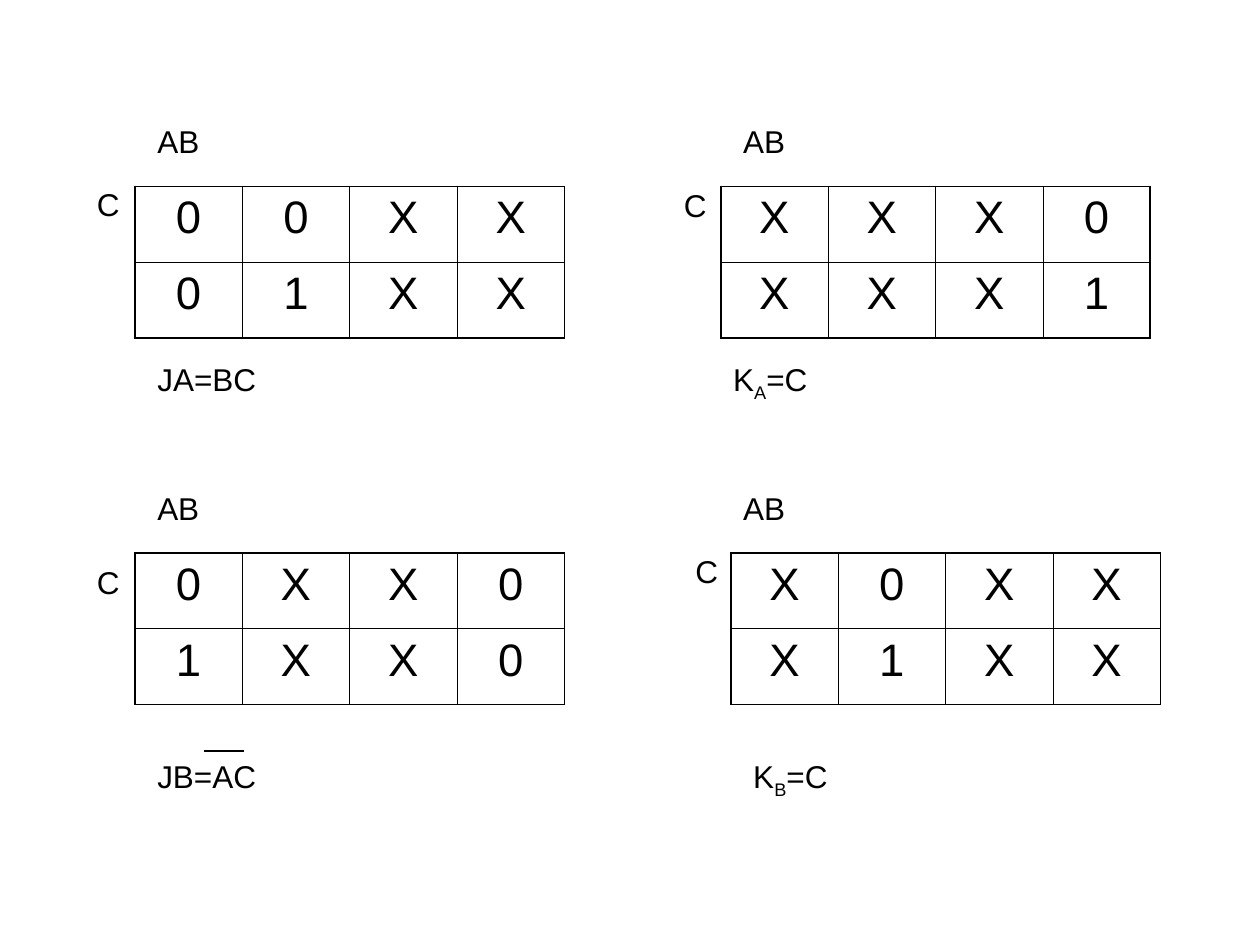
from lxml.etree import SubElement
from pptx import Presentation
from pptx.dml.color import RGBColor
from pptx.enum.shapes import MSO_CONNECTOR
from pptx.enum.text import MSO_AUTO_SIZE, PP_ALIGN
from pptx.oxml.ns import qn
from pptx.util import Inches, Pt

BLACK = RGBColor(0, 0, 0)
FONT = "Arial"
THICK, THIN = Pt(1.08), Pt(0.45)
MAP_W, ROW_H = 3.41, 0.6

# Map: left, top, rows of values
MAPS = [
    (1.07, 1.48, ["00XX", "01XX"]),
    (5.72, 1.48, ["XXX0", "XXX1"]),
    (1.07, 4.39, ["0XX0", "1XX0"]),
    (5.8, 4.39, ["X0XX", "X1XX"]),
]

# Label: left, top, width, height, text pieces (every second one is a subscript)
LABELS = [
    (1.15, 0.92, 2.68, 0.4, ["AB"]),
    (5.8, 0.92, 2.44, 0.4, ["AB"]),
    (1.15, 3.83, 2.36, 0.4, ["AB"]),
    (5.8, 3.83, 2.91, 0.4, ["AB"]),
    (0.67, 1.42, 0.5, 0.4, ["C"]),
    (5.33, 1.43, 0.5, 0.4, ["C"]),
    (0.67, 4.42, 0.5, 0.4, ["C"]),
    (5.42, 4.33, 0.5, 0.4, ["C"]),
    (1.15, 2.81, 2.12, 0.4, ["JA=BC"]),
    (5.72, 2.81, 2.12, 0.44, ["K", "A", "=C"]),
    (1.15, 5.96, 1.97, 0.4, ["JB=AC"]),
    (5.88, 5.96, 2.36, 0.44, ["K", "B", "=C"]),
]


def set_font(p, size):
    p.font.name = FONT
    p.font.size = Pt(size)
    p.font.color.rgb = BLACK


def set_borders(cell, outer):
    """Draw the four cell edges, thicker on those in outer."""
    tc_pr = cell._tc.get_or_add_tcPr()
    for side in "LRTB":
        width = THICK if side in outer else THIN
        ln = SubElement(tc_pr, qn(f"a:ln{side}"), w=str(width))
        fill = SubElement(ln, qn("a:solidFill"))
        SubElement(fill, qn("a:srgbClr"), val=str(BLACK))


def add_map(s, left, top, rows):
    n_rows, n_cols = len(rows), len(rows[0])
    table = s.shapes.add_table(n_rows, n_cols, Inches(left), Inches(top),
                               Inches(MAP_W), Inches(ROW_H * n_rows)).table
    table.first_row = table.horz_banding = False
    for col in table.columns:
        col.width = Inches(MAP_W / n_cols)
    for i, row in enumerate(rows):
        for j, value in enumerate(row):
            cell = table.cell(i, j)
            cell.text = value
            p = cell.text_frame.paragraphs[0]
            p.alignment = PP_ALIGN.CENTER
            set_font(p, 26)
            outer = ("T" if i == 0 else "") + ("B" if i == n_rows - 1 else "")
            outer += ("L" if j == 0 else "") + ("R" if j == n_cols - 1 else "")
            set_borders(cell, outer)
            cell.fill.background()


def add_label(s, left, top, width, height, pieces):
    tf = s.shapes.add_textbox(Inches(left), Inches(top),
                              Inches(width), Inches(height)).text_frame
    tf.word_wrap = True
    tf.auto_size = MSO_AUTO_SIZE.SHAPE_TO_FIT_TEXT
    p = tf.paragraphs[0]
    set_font(p, 18)
    for i, piece in enumerate(pieces):
        r = p.add_run()
        r.text = piece
        if i % 2:
            r._r.get_or_add_rPr().set("baseline", "-25000")


def add_overbar(s, x1, x2, y):
    line = s.shapes.add_connector(MSO_CONNECTOR.STRAIGHT, Inches(x1), Inches(y),
                                  Inches(x2), Inches(y))
    line.line.color.rgb = BLACK
    line.line.width = Pt(0.75)
    SubElement(line._element.spPr, qn("a:effectLst"))


def main():
    prs = Presentation()
    prs.slide_width, prs.slide_height = Inches(10), Inches(7.5)
    s = prs.slides.add_slide(prs.slide_layouts[6])

    # Karnaugh maps
    for item in MAPS:
        add_map(s, *item)

    # Axis labels and resulting equations
    for item in LABELS:
        add_label(s, *item)

    # Bar above the JB equation
    add_overbar(s, 1.62, 1.94, 5.96)

    prs.save("out.pptx")


if __name__ == "__main__":
    main()
